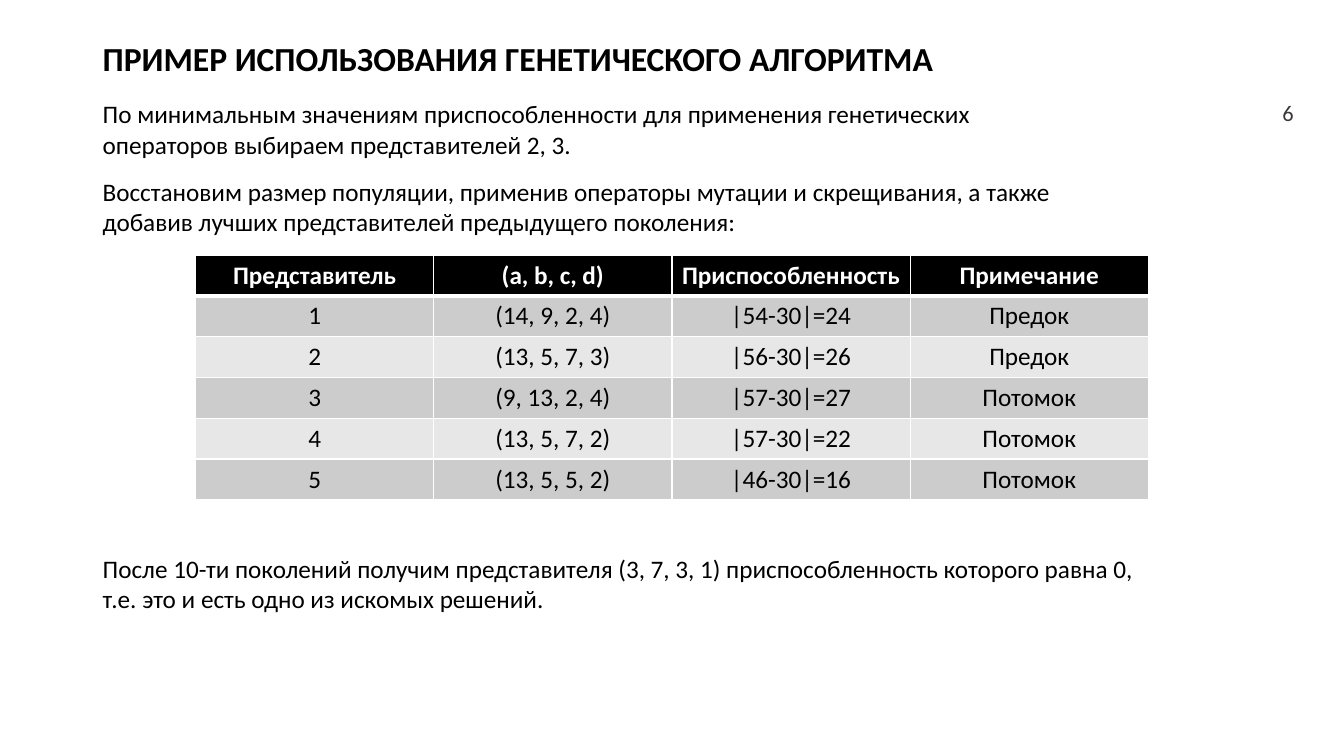
from dataclasses import dataclass

from lxml.etree import SubElement
from pptx import Presentation
from pptx.dml.color import RGBColor
from pptx.enum.text import MSO_ANCHOR, PP_ALIGN
from pptx.oxml.ns import qn
from pptx.util import Inches, Pt


@dataclass(frozen=True)
class Theme:
    font: str = "Calibri"
    black: str = "000000"
    white: str = "FFFFFF"
    gray: str = "3B3838"
    bands: tuple = ("CCCCCC", "E7E7E7")
    title: int = 24
    body: int = 18
    number: int = 16


THEME = Theme()

NOTES = [
    (0.93, 10.05, "По минимальным значениям приспособленности для применения "
                  "генетических операторов выбираем представителей 2, 3."),
    (1.7, 10.05, "Восстановим размер популяции, применив операторы мутации и скрещивания, "
                 "а также добавив лучших представителей предыдущего поколения:"),
    (5.44, 10.47, "После 10-ти поколений получим представителя (3, 7, 3, 1) "
                  "приспособленность которого равна 0, т.е. это и есть одно из искомых решений."),
]

ROWS = [
    ("Представитель", "(a, b, c, d)", "Приспособленность", "Примечание"),
    ("1", "(14, 9, 2, 4)", "|54-30|=24", "Предок"),
    ("2", "(13, 5, 7, 3)", "|56-30|=26", "Предок"),
    ("3", "(9, 13, 2, 4)", "|57-30|=27", "Потомок"),
    ("4", "(13, 5, 7, 2)", "|57-30|=22", "Потомок"),
    ("5", "(13, 5, 5, 2)", "|46-30|=16", "Потомок"),
]


def write(frame, text, size, color=THEME.black, bold=False, **layout):
    """Fill a text frame with one paragraph; layout holds paragraph values."""
    para = frame.paragraphs[0]
    para.text = text
    for name, value in layout.items():
        setattr(para, name, value)
    style = {"name": THEME.font, "size": Pt(size), "bold": bold}
    for name, value in style.items():
        setattr(para.runs[0].font, name, value)
    para.runs[0].font.color.rgb = RGBColor.from_string(color)


def add_text(slide, box, text, size, anchor=MSO_ANCHOR.TOP, **style):
    frame = slide.shapes.add_textbox(*map(Inches, box)).text_frame
    frame.word_wrap = True
    frame.vertical_anchor = anchor
    write(frame, text, size, **style)


def set_edges(cell, widths):
    """Draw white borders; widths maps each side to points."""
    props = cell._tc.get_or_add_tcPr()
    for side, width in widths.items():
        line = SubElement(props, qn(f"a:ln{side}"), w=str(Pt(width)))
        fill = SubElement(line, qn("a:solidFill"))
        SubElement(fill, qn("a:srgbClr"), val=THEME.white)


def add_grid(slide, box, rows):
    grid = slide.shapes.add_table(len(rows), len(rows[0]), *map(Inches, box)).table
    for r, row in enumerate(rows):
        head = r == 0
        fill = THEME.black if head else THEME.bands[(r - 1) % 2]
        color = THEME.white if head else THEME.black
        edges = {"L": 1, "R": 1, "T": 3 if r == 1 else 1, "B": 3 if head else 1}
        for c, text in enumerate(row):
            cell = grid.cell(r, c)
            set_edges(cell, edges)
            cell.fill.solid()
            cell.fill.fore_color.rgb = RGBColor.from_string(fill)
            write(cell.text_frame, text, THEME.body, color, head, alignment=PP_ALIGN.CENTER)


def main():
    deck = Presentation()
    deck.slide_width, deck.slide_height = Inches(13.33), Inches(7.5)
    slide = deck.slides.add_slide(deck.slide_layouts[6])
    slide.background.fill.solid()
    slide.background.fill.fore_color.rgb = RGBColor.from_string(THEME.white)

    add_text(slide, (12.42, 0.92, 0.51, 0.4), "6", THEME.number, MSO_ANCHOR.MIDDLE,
             color=THEME.gray, alignment=PP_ALIGN.RIGHT)
    add_text(slide, (0.92, 0.17, 10.78, 0.87), "ПРИМЕР ИСПОЛЬЗОВАНИЯ ГЕНЕТИЧЕСКОГО АЛГОРИТМА",
             THEME.title, MSO_ANCHOR.MIDDLE, bold=True, line_spacing=0.9)
    for top, width, text in NOTES:
        add_text(slide, (0.92, top, width, 0.71), text, THEME.body)
    add_grid(slide, (1.94, 2.53, 9.45, 2.43), ROWS)
    deck.save("out.pptx")


if __name__ == "__main__":
    main()
